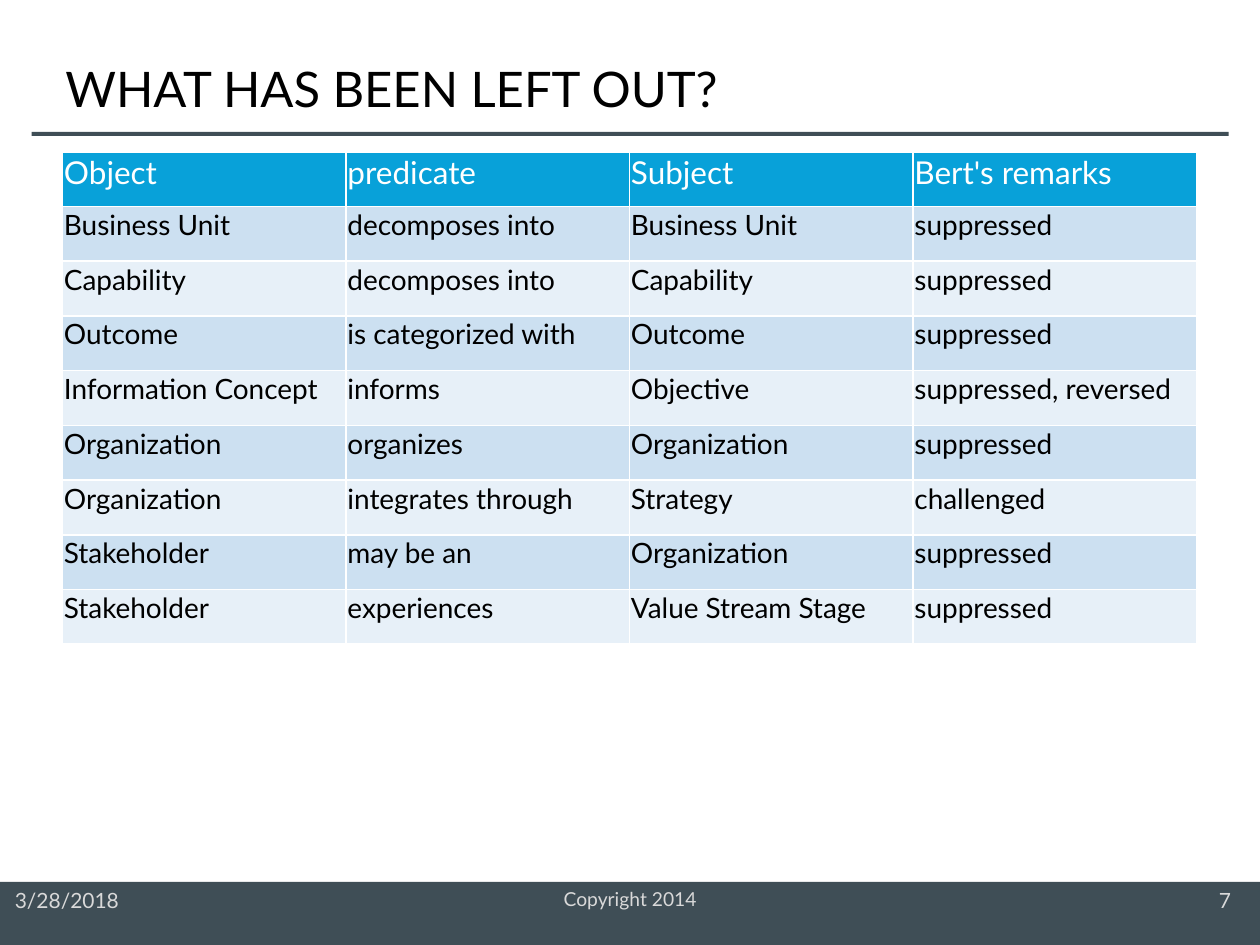
from lxml.etree import SubElement
from pptx import Presentation
from pptx.dml.color import RGBColor
from pptx.enum.shapes import MSO_SHAPE
from pptx.enum.text import MSO_ANCHOR, PP_ALIGN
from pptx.oxml.ns import qn
from pptx.util import Cm, Pt

COLORS = {
    "slate": "3F4E56",
    "footer_text": "D9D9D9",
    "black": "000000",
    "white": "FFFFFF",
    "header": "08A1D9",
    "odd_row": "CCE0F1",
    "even_row": "E7F0F8",
}

RELATIONS = [
    ("Object", "predicate", "Subject", "Bert's remarks"),
    ("Business Unit", "decomposes into", "Business Unit", "suppressed"),
    ("Capability", "decomposes into", "Capability", "suppressed"),
    ("Outcome", "is categorized with", "Outcome", "suppressed"),
    ("Information Concept", "informs", "Objective", "suppressed, reversed"),
    ("Organization", "organizes", "Organization", "suppressed"),
    ("Organization", "integrates through", "Strategy", "challenged"),
    ("Stakeholder", "may be an", "Organization", "suppressed"),
    ("Stakeholder", "experiences", "Value Stream Stage", "suppressed"),
]


class SlideBuilder:
    """Draws elements on one page; lengths are in centimetres."""

    font_name = "Lato"

    def __init__(self, page):
        self.page = page

    def color(self, name):
        return RGBColor.from_string(COLORS[name])

    def style(self, paragraph, size, color):
        paragraph.font.name = self.font_name
        paragraph.font.size = Pt(size)
        paragraph.font.color.rgb = self.color(color)

    def bar(self, left, top, width, height):
        shape = self.page.shapes.add_shape(
            MSO_SHAPE.RECTANGLE, Cm(left), Cm(top), Cm(width), Cm(height))
        shape.shadow.inherit = False
        shape.fill.solid()
        shape.fill.fore_color.rgb = self.color("slate")
        shape.line.fill.background()

    def text(self, text, left, top, width, height, size, color="footer_text",
             align=PP_ALIGN.LEFT, anchor=MSO_ANCHOR.MIDDLE, tight=False):
        """Add a text box; a tight one has no margins and does not wrap."""
        box = self.page.shapes.add_textbox(
            Cm(left), Cm(top), Cm(width), Cm(height))
        frame = box.text_frame
        frame.word_wrap = not tight
        frame.vertical_anchor = anchor
        if tight:
            frame.margin_left = frame.margin_right = 0
            frame.margin_top = frame.margin_bottom = 0
        paragraph = frame.paragraphs[0]
        paragraph.text = text
        paragraph.alignment = align
        self.style(paragraph, size, color)

    def borders(self, cell):
        """Give a cell white borders, 1 pt wide on every side."""
        properties = cell._tc.get_or_add_tcPr()
        for tag in ("a:lnL", "a:lnR", "a:lnT", "a:lnB"):
            line = SubElement(properties, qn(tag), w=str(Pt(1)))
            fill = SubElement(line, qn("a:solidFill"))
            SubElement(fill, qn("a:srgbClr"), val=COLORS["white"])

    def cell(self, cell, text, size, color, fill):
        self.borders(cell)
        cell.fill.solid()
        cell.fill.fore_color.rgb = self.color(fill)
        cell.margin_left = cell.margin_right = cell.margin_top = Cm(0.03)
        cell.margin_bottom = 0
        paragraph = cell.text_frame.paragraphs[0]
        paragraph.text = text
        self.style(paragraph, size, color)

    def table(self, rows, left, top, width, height):
        table = self.page.shapes.add_table(
            len(rows), len(rows[0]),
            Cm(left), Cm(top), Cm(width), Cm(height)).table
        for r, row in enumerate(rows):
            if r == 0:
                look = (18, "white", "header")
            else:
                look = (16, "black", "odd_row" if r % 2 else "even_row")
            for c, text in enumerate(row):
                self.cell(table.cell(r, c), text, *look)


def main():
    deck = Presentation()
    deck.slide_width, deck.slide_height = Cm(25.4), Cm(19.05)
    builder = SlideBuilder(deck.slides.add_slide(deck.slide_layouts[6]))

    builder.bar(0, 17.78, 25.4, 1.27)
    builder.bar(0.64, 2.66, 24.13, 0.08)
    builder.text("3/28/2018", 0.3, 17.9, 2.5, 0.51, 12, tight=True)
    builder.text("7", 24.43, 17.9, 0.53, 0.51, 12,
                 align=PP_ALIGN.CENTER, tight=True)
    builder.text("Copyright 2014", 6.14, 17.76, 13.13, 0.76, 11,
                 align=PP_ALIGN.CENTER, anchor=MSO_ANCHOR.TOP)
    builder.text("WHAT HAS BEEN LEFT OUT?", 1.07, 1.02, 19.05, 1.52, 28,
                 color="black")
    builder.table(RELATIONS, 1.26, 3.06, 22.86, 9.93)

    deck.save("out.pptx")


if __name__ == "__main__":
    main()
